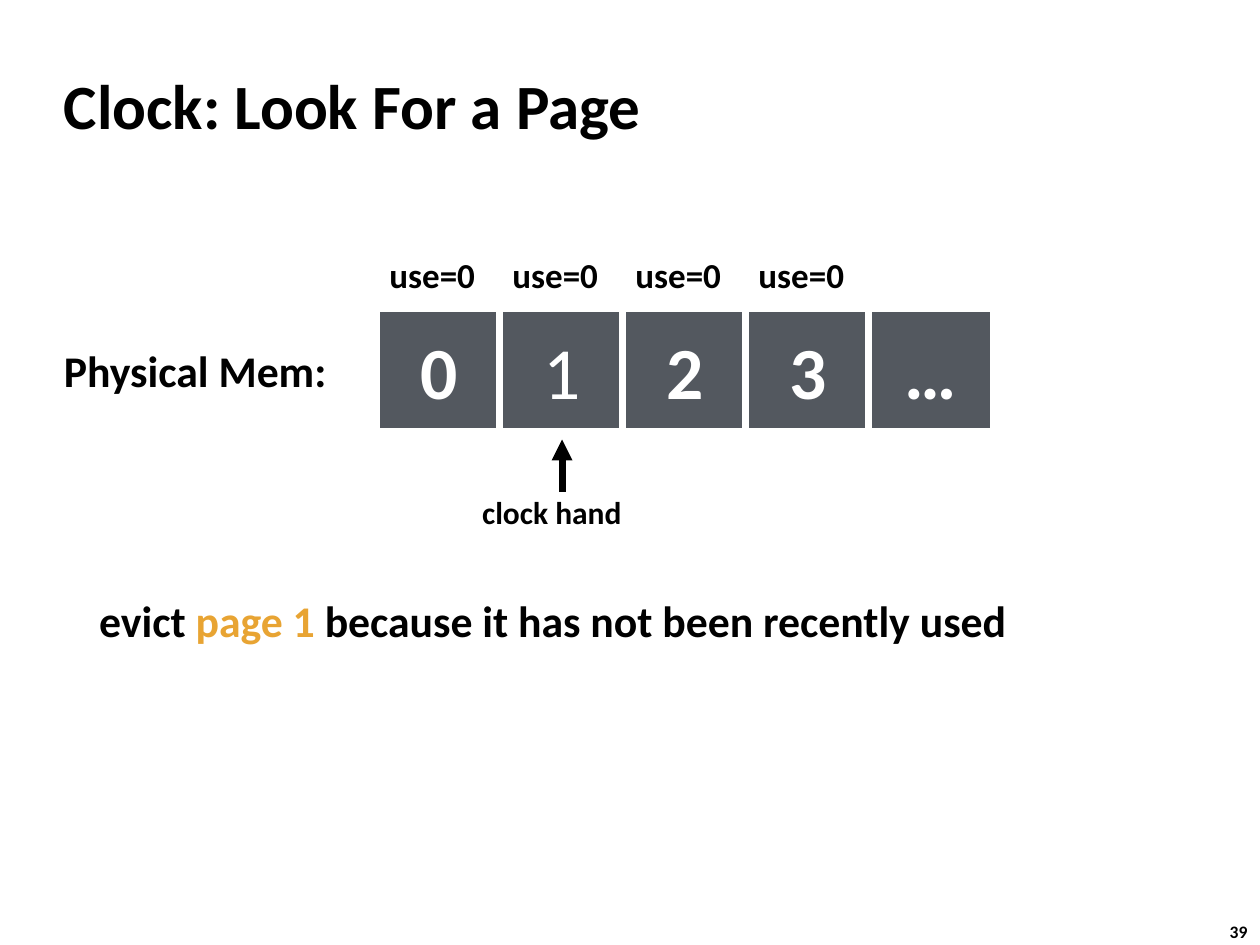
from dataclasses import dataclass

from lxml import etree
from pptx import Presentation
from pptx.dml.color import RGBColor
from pptx.enum.shapes import MSO_CONNECTOR, MSO_SHAPE
from pptx.enum.text import MSO_ANCHOR, PP_ALIGN
from pptx.oxml.ns import qn
from pptx.util import Cm, Pt

RECT = MSO_SHAPE.RECTANGLE
STRAIGHT = MSO_CONNECTOR.STRAIGHT
MIDDLE = MSO_ANCHOR.MIDDLE
TOP = MSO_ANCHOR.TOP
CENTER = PP_ALIGN.CENTER


@dataclass(frozen=True)
class Theme:
    font: str = "Calibri"
    ink: RGBColor = RGBColor(0, 0, 0)
    paper: RGBColor = RGBColor(255, 255, 255)
    frame: RGBColor = RGBColor(0x53, 0x58, 0x5F)
    accent: RGBColor = RGBColor(0xE8, 0xA4, 0x33)
    title: int = 36
    cell: int = 42
    body: int = 25
    use: int = 20
    hand: int = 18
    number: int = 10
    stroke: int = 4


THEME = Theme()


def style_run(r, size, color, bold=True):
    r.font.name = THEME.font
    r.font.size = Pt(size)
    r.font.bold = bold
    r.font.color.rgb = color


def add_label(slide, box, runs, size, inset=0.1, anchor=MIDDLE, wrap=False):
    """Place one line of (text, color) runs in a left, top, width, height box in cm."""
    tf = slide.shapes.add_textbox(*map(Cm, box)).text_frame
    tf.word_wrap = wrap
    tf.vertical_anchor = anchor
    tf.margin_left = tf.margin_right = tf.margin_top = tf.margin_bottom = Cm(inset)
    for text, color in runs:
        r = tf.paragraphs[0].add_run()
        r.text = text
        style_run(r, size, color)


def add_cell(slide, box, text, bold):
    sp = slide.shapes.add_shape(RECT, *map(Cm, box))
    sp.shadow.inherit = False
    sp.fill.solid()
    sp.fill.fore_color.rgb = THEME.frame
    sp.line.color.rgb = THEME.paper
    sp.line.width = Pt(THEME.stroke)
    tf = sp.text_frame
    tf.margin_left = tf.margin_right = tf.margin_top = tf.margin_bottom = 0
    tf.vertical_anchor = MIDDLE
    tf.text = text
    p = tf.paragraphs[0]
    p.alignment = CENTER
    style_run(p.runs[0], THEME.cell, THEME.paper, bold)


def add_arrow(slide, x, start, end):
    line = slide.shapes.add_connector(STRAIGHT, Cm(x), Cm(start), Cm(x), Cm(end))
    line.line.color.rgb = THEME.ink
    line.line.width = Pt(THEME.stroke)
    etree.SubElement(line.line._get_or_add_ln(), qn("a:tailEnd"), type="triangle")
    etree.SubElement(line._element.spPr, qn("a:effectLst"))


def add_memory(slide, box, pages, use_bits, hand):
    """Draw page frames with use bits above and the clock hand below one of them."""
    left, top, width, height = box
    pitch = width / len(pages)
    for i, page in enumerate(pages):
        add_cell(slide, (left + i * pitch, top, pitch + 0.03, height), page, i != hand)
    for i, bit in enumerate(use_bits):
        add_label(slide, (left + i * pitch + 0.16, top - 1.22, 1.96, 1.07),
                  [(f"use={bit}", THEME.ink)], THEME.use)
    hand_left = left + hand * pitch
    bottom = top + height
    add_label(slide, (hand_left - 0.45, bottom + 1.12, 3.02, 0.97),
              [("clock hand", THEME.ink)], THEME.hand)
    add_arrow(slide, hand_left + pitch / 2 + 0.02, bottom + 1.2, bottom + 0.15)


def main():
    prs = Presentation()
    prs.slide_width, prs.slide_height = Cm(25.4), Cm(19.05)
    slide = prs.slides.add_slide(prs.slide_layouts[6])

    add_label(slide, (24.54, 18.36, 0.94, 0.69), [("39", THEME.ink)],
              THEME.number, inset=0.25, anchor=TOP)
    add_label(slide, (1.04, 1.04, 21.08, 2.11), [("Clock: Look For a Page", THEME.ink)],
              THEME.title, inset=0.25, wrap=True)
    add_label(slide, (1.19, 6.83, 5.56, 1.27), [("Physical Mem:", THEME.ink)], THEME.body)
    add_memory(slide, (7.59, 6.22, 12.4, 2.49), ["0", "1", "2", "3", "…"],
               [0, 0, 0, 0], hand=1)
    add_label(slide, (1.9, 11.86, 18.69, 1.27),
              [("evict ", THEME.ink), ("page 1 ", THEME.accent),
               ("because it has not been recently used", THEME.ink)], THEME.body)

    prs.save("out.pptx")


if __name__ == "__main__":
    main()
